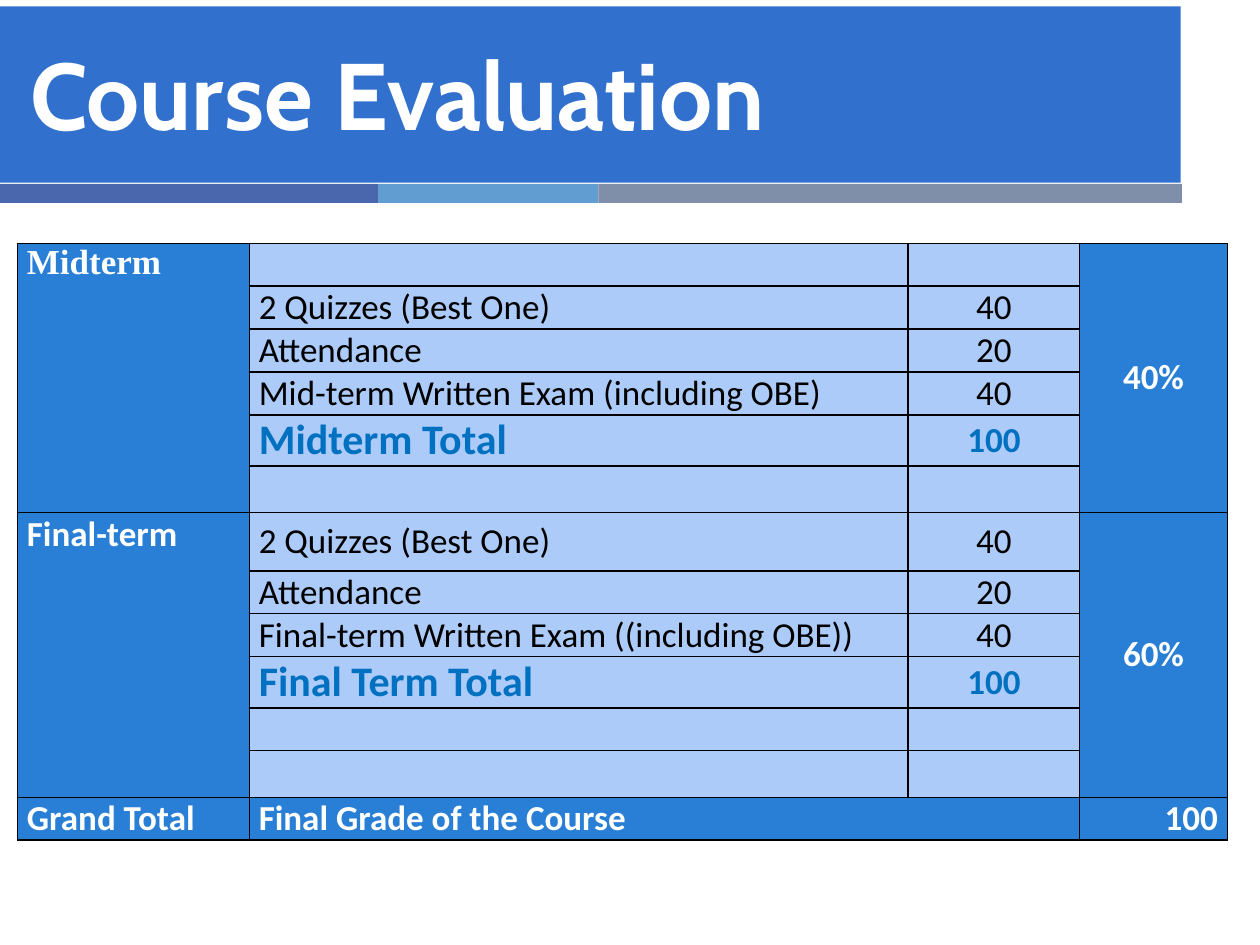
from lxml import etree
from pptx import Presentation
from pptx.dml.color import RGBColor
from pptx.enum.shapes import MSO_SHAPE
from pptx.enum.text import MSO_ANCHOR, MSO_AUTO_SIZE, PP_ALIGN
from pptx.oxml.ns import qn
from pptx.util import Pt

RECTANGLE = MSO_SHAPE.RECTANGLE
TOP, MIDDLE, BOTTOM = MSO_ANCHOR.TOP, MSO_ANCHOR.MIDDLE, MSO_ANCHOR.BOTTOM
LEFT, CENTER, RIGHT = PP_ALIGN.LEFT, PP_ALIGN.CENTER, PP_ALIGN.RIGHT
NO_FIT = MSO_AUTO_SIZE.NONE
TITLE_ONLY = 5

COLORS = {
    "banner": "0E58C4", "indigo": "4A66AC", "sky": "629DD1", "slate": "7F8FA9",
    "group": "297FD5", "item": "ACCBF9", "total": "0070C0",
    "white": "FFFFFF", "black": "000000",
}
FORMATS = {
    "title": {"name": "Cabin", "size": Pt(54), "bold": True, "color": "white"},
    "midterm": {"name": "Times New Roman", "size": Pt(20), "bold": True, "color": "white"},
    "group": {"name": "Calibri", "size": Pt(20), "bold": True, "color": "white"},
    "item": {"name": "Calibri", "size": Pt(20), "bold": False, "color": "black"},
    "total": {"name": "Calibri", "size": Pt(24), "bold": True, "color": "total"},
    "points": {"name": "Calibri", "size": Pt(20), "bold": True, "color": "total"},
}

COLUMN_WIDTHS = [132.5, 376.5, 98, 84.4]
LINE, TOTAL_LINE, SPACER, OPENING = 24.5, 29.3, 26.6, 33.2
ROW_HEIGHTS = [LINE] * 4 + [TOTAL_LINE, SPACER, OPENING] + [LINE] * 2 + [
    TOTAL_LINE, LINE, SPACER, LINE]

ASSESSMENTS = {
    1: ("2 Quizzes (Best One)", "40"),
    2: ("Attendance", "20"),
    3: ("Mid-term Written Exam (including OBE)", "40"),
    4: ("Midterm Total", "100"),
    6: ("2 Quizzes (Best One)", "40"),
    7: ("Attendance", "20"),
    8: ("Final-term Written Exam ((including OBE))", "40"),
    9: ("Final Term Total", "100"),
}
TERMS = [(0, "Midterm", "midterm", "40%"), (6, "Final-term", "group", "60%")]
TERM_ROWS = 6
GRAND_ROW = 12


class SlideBuilder:
    def __init__(self, deck):
        self.slide = deck.slides.add_slide(deck.slide_layouts[TITLE_ONLY])

    def color(self, key):
        return RGBColor.from_string(COLORS[key])

    def text(self, paragraph, wording, style, align=LEFT):
        paragraph.alignment = align
        run = paragraph.add_run()
        run.text = wording
        for attribute, value in FORMATS[style].items():
            if attribute == "color":
                run.font.color.rgb = self.color(value)
            else:
                setattr(run.font, attribute, value)

    def bar(self, left, top, width, height, fill, opacity=100):
        bar = self.slide.shapes.add_shape(
            RECTANGLE, Pt(left), Pt(top), Pt(width), Pt(height))
        bar.shadow.inherit = False
        bar.line.fill.background()
        bar.fill.solid()
        bar.fill.fore_color.rgb = self.color(fill)
        if opacity < 100:
            tint = bar.element.spPr.find(".//" + qn("a:srgbClr"))
            etree.SubElement(tint, qn("a:alpha"), val=str(opacity * 1000))

    def title(self, wording, left, top, width, height):
        title = self.slide.shapes.title
        title.element.getparent().append(title.element)
        box = {"left": left, "top": top, "width": width, "height": height}
        for side, length in box.items():
            setattr(title, side, Pt(length))
        frame = title.text_frame
        layout = {"word_wrap": True, "auto_size": NO_FIT, "vertical_anchor": BOTTOM}
        for attribute, value in layout.items():
            setattr(frame, attribute, value)
        heading = frame.paragraphs[0]
        heading.line_spacing = Pt(46)
        self.text(heading, wording, "title")

    def table(self, left, top, widths, heights):
        grid = self.slide.shapes.add_table(
            len(heights), len(widths), Pt(left), Pt(top),
            Pt(sum(widths)), Pt(sum(heights))).table
        for column, width in zip(grid.columns, widths):
            column.width = Pt(width)
        for row, height in zip(grid.rows, heights):
            row.height = Pt(height)
        for cell in grid.iter_cells():
            self.border(cell)
            self.cell(cell, "item")
        return grid

    def border(self, cell):
        properties = cell._tc.get_or_add_tcPr()
        for side in ("lnL", "lnR", "lnT", "lnB"):
            line = etree.SubElement(properties, qn("a:" + side), w=str(Pt(1)))
            fill = etree.SubElement(line, qn("a:solidFill"))
            etree.SubElement(fill, qn("a:srgbClr"), val=COLORS["black"])

    def cell(self, cell, fill, wording="", style="item", align=LEFT, anchor=MIDDLE):
        layout = {"margin_left": Pt(5.4), "margin_right": Pt(5.4),
                  "margin_top": 0, "margin_bottom": 0, "vertical_anchor": anchor}
        for attribute, value in layout.items():
            setattr(cell, attribute, value)
        cell.fill.solid()
        cell.fill.fore_color.rgb = self.color(fill)
        if wording:
            self.text(cell.text_frame.paragraphs[0], wording, style, align)


def main():
    deck = Presentation()
    deck.slide_width, deck.slide_height = Pt(720), Pt(540)
    builder = SlideBuilder(deck)

    builder.bar(-0.7, 3.6, 675.4, 100.8, "banner", opacity=85)
    stripe_left = 0
    for width, fill in ((216, "indigo"), (126, "sky"), (333.4, "slate")):
        builder.bar(stripe_left, 105.1, width, 10.8, fill)
        stripe_left += width
    builder.title("Course Evaluation", 10, 10, 615, 79.2)

    grades = builder.table(10, 139, COLUMN_WIDTHS, ROW_HEIGHTS)
    for first, term, style, weight in TERMS:
        last = first + TERM_ROWS - 1
        for column in (0, 3):
            grades.cell(first, column).merge(grades.cell(last, column))
        builder.cell(grades.cell(first, 0), "group", term, style, anchor=TOP)
        builder.cell(grades.cell(first, 3), "group", weight, "group", CENTER)

    for row, (assessment, points) in ASSESSMENTS.items():
        is_total = assessment.endswith("Total")
        builder.cell(grades.cell(row, 1), "item", assessment,
                     "total" if is_total else "item")
        builder.cell(grades.cell(row, 2), "item", points,
                     "points" if is_total else "item", CENTER)

    grades.cell(GRAND_ROW, 1).merge(grades.cell(GRAND_ROW, 2))
    builder.cell(grades.cell(GRAND_ROW, 0), "group", "Grand Total", "group", anchor=TOP)
    builder.cell(grades.cell(GRAND_ROW, 1), "group", "Final Grade of the Course", "group")
    builder.cell(grades.cell(GRAND_ROW, 3), "group", "100", "group", RIGHT)

    deck.save("out.pptx")


if __name__ == "__main__":
    main()
